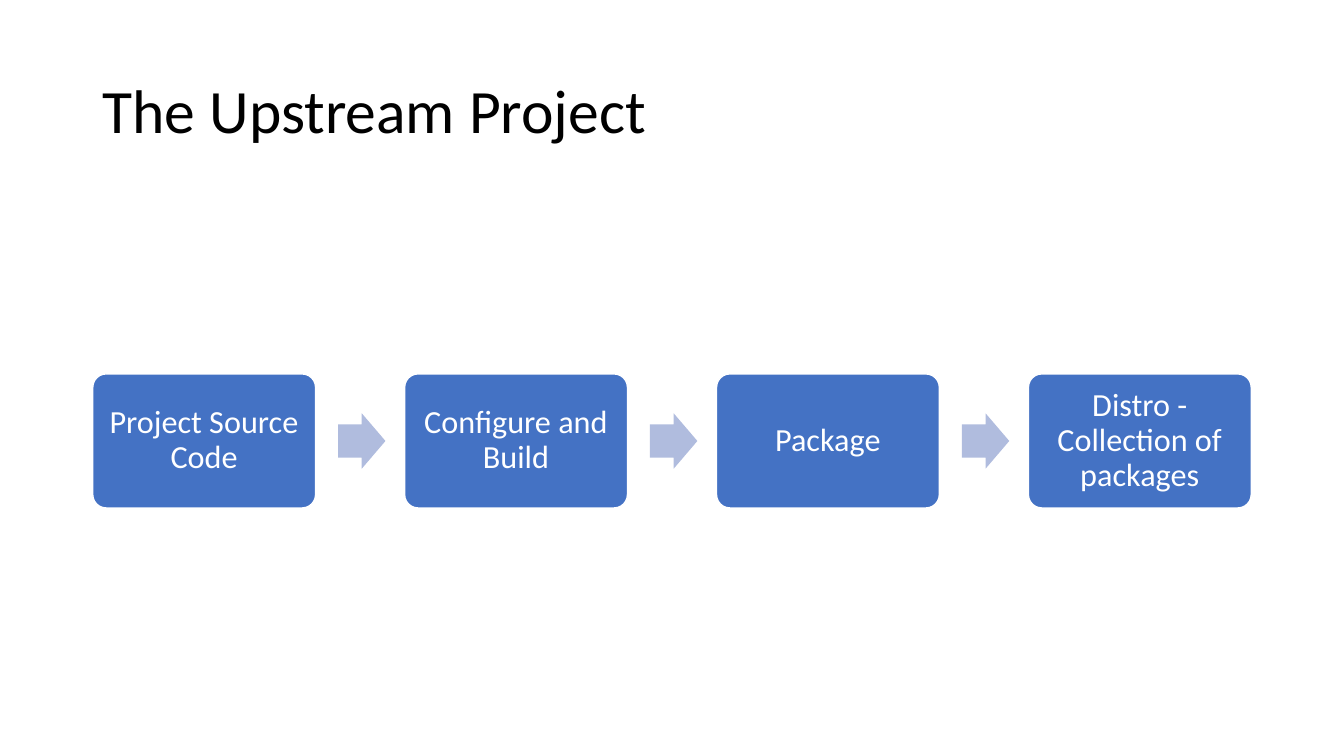
from dataclasses import dataclass

from pptx import Presentation
from pptx.dml.color import RGBColor
from pptx.enum.shapes import MSO_SHAPE
from pptx.enum.text import MSO_ANCHOR, PP_ALIGN
from pptx.util import Inches, Pt


@dataclass(frozen=True)
class Theme:
    font: str = "Calibri"
    ink: str = "000000"
    white: str = "FFFFFF"
    blue: str = "4472C4"
    pale: str = "B0BCDE"
    title: int = 44
    label: int = 23


class Deck:
    def __init__(self, theme):
        self.theme = theme
        self.file = Presentation()
        self.file.slide_width = Inches(13.33)
        self.file.slide_height = Inches(7.5)
        self.slide = self.file.slides.add_slide(self.file.slide_layouts[6])

    def label(self, shape, text, size, color, align):
        frame = shape.text_frame
        frame.word_wrap = True
        frame.vertical_anchor = MSO_ANCHOR.MIDDLE
        frame.margin_left = frame.margin_right = Inches(0.1)
        para = frame.paragraphs[0]
        para.text = text
        para.alignment = align
        para.line_spacing = 0.9
        para.font.name = self.theme.font
        para.font.size = Pt(size)
        para.font.color.rgb = RGBColor.from_string(color)

    def title(self, text, *area):
        box = self.slide.shapes.add_textbox(*map(Inches, area))
        self.label(box, text, self.theme.title, self.theme.ink, PP_ALIGN.LEFT)

    def shape(self, kind, area, fill, *adjust):
        item = self.slide.shapes.add_shape(kind, *map(Inches, area))
        item.shadow.inherit = False
        item.fill.solid()
        item.fill.fore_color.rgb = RGBColor.from_string(fill)
        item.line.fill.background()
        for i, value in enumerate(adjust):
            item.adjustments[i] = value
        return item

    def step(self, text, *area):
        box = self.shape(MSO_SHAPE.ROUNDED_RECTANGLE, area, self.theme.blue, 0.1)
        box.line.color.rgb = RGBColor.from_string(self.theme.white)
        box.line.width = Pt(1)
        self.label(box, text, self.theme.label, self.theme.white, PP_ALIGN.CENTER)

    def arrow(self, *area):
        self.shape(MSO_SHAPE.RIGHT_ARROW, area, self.theme.pale, 0.6, 0.5)


def main():
    deck = Deck(Theme())
    deck.title("The Upstream Project", 0.92, 0.4, 11.5, 1.45)

    # Process steps, with an arrow before each one but the first
    steps = ["Project Source Code", "Configure and Build", "Package",
             "Distro - Collection of packages"]
    left, right, width = 0.92, 12.41, 2.21
    pitch = (right - left - width) / (len(steps) - 1)
    for i, text in enumerate(steps):
        x = left + i * pitch
        if i:
            deck.arrow(x - 0.66, 4.1, 0.47, 0.55)
        deck.step(text, x, 3.71, width, 1.33)

    deck.file.save("out.pptx")


if __name__ == "__main__":
    main()
